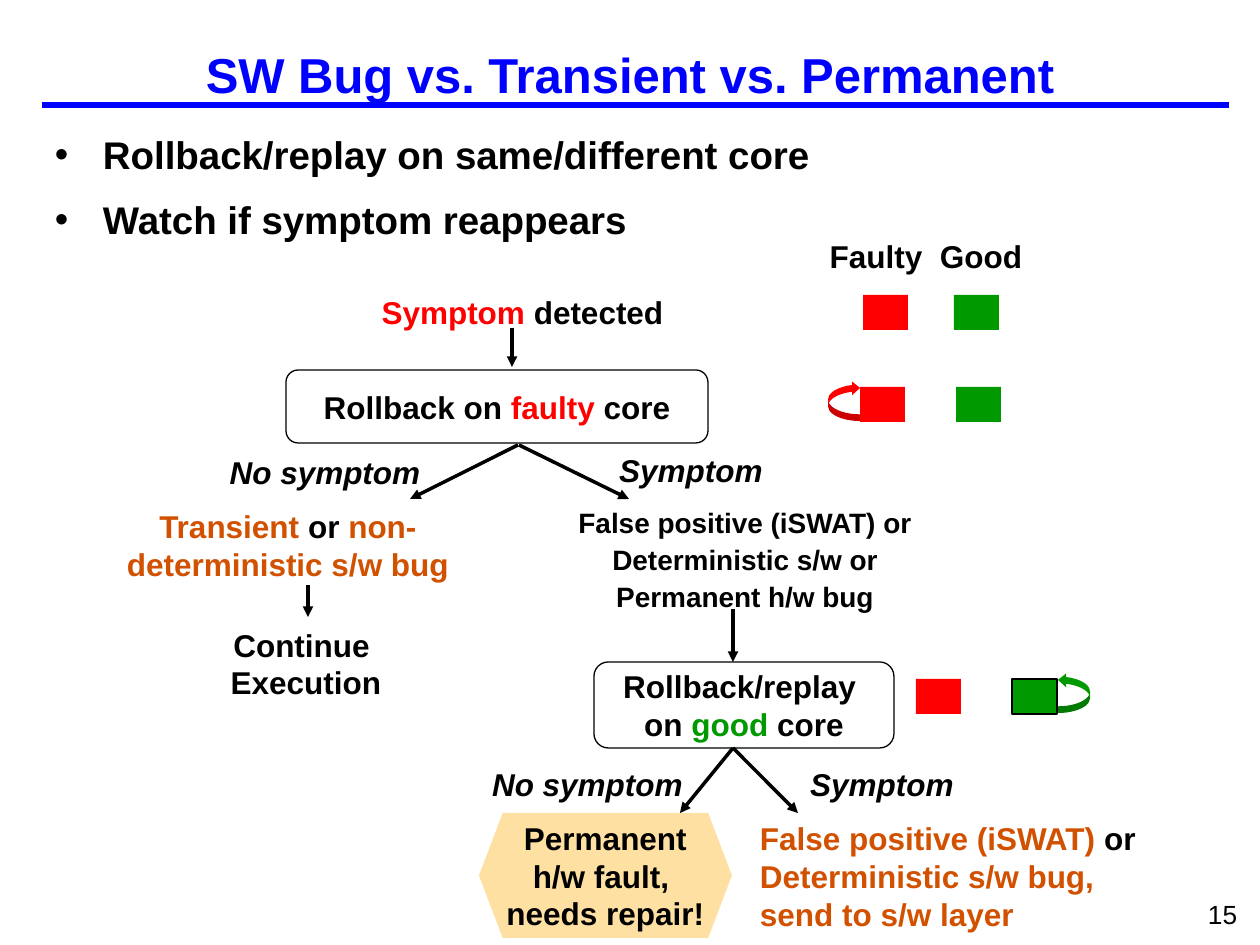
from dataclasses import dataclass
from typing import NamedTuple, Optional

from lxml.etree import SubElement
from pptx import Presentation
from pptx.dml.color import RGBColor
from pptx.enum.shapes import MSO_CONNECTOR as Connector, MSO_SHAPE as Shape
from pptx.enum.text import MSO_ANCHOR as Anchor, PP_ALIGN as Align
from pptx.oxml.ns import qn
from pptx.util import Emu, Pt

SCALE = 914400 / 126
FONT = "Arial"
COLORS = {
    "black": "000000",
    "blue": "0000FF",
    "red": "FF0000",
    "green": "009900",
    "orange": "D15100",
    "sand": "FFCC66",
}


class Run(NamedTuple):
    text: str
    color: str = "black"


@dataclass
class Box:
    x: int
    y: int
    w: int
    h: int
    paras: tuple = ()
    shape: Optional[Shape] = None
    fill: Optional[str] = None
    alpha: int = 100
    line: Optional[str] = None
    adjust: tuple = ()
    rotation: int = 0
    size: int = 18
    bold: bool = True
    italic: bool = False
    align: Align = Align.CENTER
    anchor: Anchor = Anchor.TOP
    inset: tuple = (13, 6)
    wrap: bool = True
    spacing: Optional[float] = None
    gap: float = 0
    bullet: bool = False


class Line(NamedTuple):
    x1: int
    y1: int
    x2: int
    y2: int
    color: str = "black"
    width: int = 2
    arrow: bool = True


def px(n: int) -> Emu:
    return Emu(round(n * SCALE))


def rgb(name: str) -> RGBColor:
    return RGBColor.from_string(COLORS[name])


def add_bullet(p, indent: int) -> None:
    pPr = p._p.get_or_add_pPr()
    pPr.set("marL", str(px(indent)))
    pPr.set("indent", str(-px(indent)))
    SubElement(pPr, qn("a:buFont"), typeface=FONT)
    SubElement(pPr, qn("a:buChar"), char="•")


def write_text(tf, box: Box) -> None:
    tf.word_wrap = box.wrap
    tf.vertical_anchor = box.anchor
    tf.margin_left = tf.margin_right = px(box.inset[0])
    tf.margin_top = tf.margin_bottom = px(box.inset[1])
    for i, runs in enumerate(box.paras):
        p = tf.add_paragraph() if i else tf.paragraphs[0]
        if box.bullet:
            add_bullet(p, 48)
        p.alignment = box.align
        if box.spacing:
            p.line_spacing = box.spacing
        if i and box.gap:
            p.space_before = Pt(box.gap)
        for run in runs:
            r = p.add_run()
            r.text = run.text
            r.font.name = FONT
            r.font.size = Pt(box.size)
            r.font.bold = box.bold
            r.font.italic = box.italic
            r.font.color.rgb = rgb(run.color)


def add_box(s, box: Box) -> None:
    frame = px(box.x), px(box.y), px(box.w), px(box.h)
    if box.shape is None:
        sp = s.shapes.add_textbox(*frame)
    else:
        sp = s.shapes.add_shape(box.shape, *frame)
        sp.shadow.inherit = False
        sp.rotation = box.rotation
        for i, value in enumerate(box.adjust):
            sp.adjustments[i] = value
        if box.fill:
            sp.fill.solid()
            sp.fill.fore_color.rgb = rgb(box.fill)
            if box.alpha < 100:
                color = sp.element.spPr.find(qn("a:solidFill"))[0]
                SubElement(color, qn("a:alpha"), val=str(box.alpha * 1000))
        else:
            sp.fill.background()
        if box.line:
            sp.line.color.rgb = rgb(box.line)
            sp.line.width = Pt(0.75)
        else:
            sp.line.fill.background()
    if box.paras:
        write_text(sp.text_frame, box)


def add_line(s, line: Line) -> None:
    ends = px(line.x1), px(line.y1), px(line.x2), px(line.y2)
    c = s.shapes.add_connector(Connector.STRAIGHT, *ends)
    c.line.color.rgb = rgb(line.color)
    c.line.width = Pt(line.width)
    spPr = c.element.spPr
    if line.arrow:
        SubElement(spPr.find(qn("a:ln")), qn("a:tailEnd"), type="triangle")
    SubElement(spPr, qn("a:effectLst"))


def core(x: int, y: int, color: str, line: Optional[str] = None) -> Box:
    return Box(x, y, 45, 35, shape=Shape.RECTANGLE, fill=color, line=line)


def loop(x: int, y: int, shape: Shape, color: str) -> Box:
    return Box(x, y, 32, 40, shape=shape, fill=color, rotation=180, adjust=(0.21, 0.43, 0.25))


def answer(x: int, y: int, w: int, text: str) -> Box:
    return Box(x, y, w, 54, ((Run(text),),), italic=True, inset=(16, 8))


def node(x: int, y: int, w: int, h: int, paras: tuple, **style) -> Box:
    style = {"shape": Shape.FLOWCHART_ALTERNATE_PROCESS, **style}
    return Box(x, y, w, h, paras, anchor=Anchor.MIDDLE, wrap=False, **style)


BOXES = [
    Box(1195, 892, 65, 44, ((Run("15"),),), size=15, bold=False, align=Align.LEFT),
    Box(0, 21, 1260, 105, ((Run("SW Bug vs. Transient vs. Permanent", "blue"),),),
        size=28, anchor=Anchor.MIDDLE),
    Box(42, 116, 1187, 220,
        ((Run("Rollback/replay on same/different core"),), (Run("Watch if symptom reappears"),)),
        size=22, align=Align.LEFT, spacing=1.2, gap=5.5, bullet=True),
    answer(190, 445, 270, "No symptom"),
    answer(599, 443, 184, "Symptom"),
    answer(461, 757, 253, "No symptom"),
    answer(782, 757, 200, "Symptom"),
    Box(535, 494, 420, 127,
        ((Run("False positive (iSWAT) or Deterministic s/w or"),), (Run("Permanent h/w bug"),)),
        size=16, inset=(16, 8), spacing=1.1),
    Box(362, 285, 321, 54, ((Run("Symptom", "red"), Run(" detected")),), inset=(16, 8)),
    Box(816, 231, 120, 50, ((Run("Faulty"),),), wrap=False),
    Box(921, 231, 120, 50, ((Run("Good"),),), wrap=False),
    core(863, 295, "red"),
    core(954, 295, "green"),
    core(860, 387, "red"),
    core(956, 387, "green"),
    core(916, 679, "red"),
    core(1012, 679, "green", "black"),
    loop(828, 381, Shape.CURVED_LEFT_ARROW, "red"),
    loop(1058, 673, Shape.CURVED_RIGHT_ARROW, "green"),
    node(286, 370, 422, 73, ((Run("Rollback on "), Run("faulty", "red"), Run(" core")),),
         line="black"),
    node(594, 662, 300, 86,
         ((Run("Rollback/replay "),), (Run("on "), Run("good", "green"), Run(" core"))),
         line="black"),
    node(219, 632, 174, 63, ((Run("Continue "),), (Run("Execution"),))),
    node(136, 510, 304, 70,
         ((Run("Transient", "orange"), Run(" or "), Run("non-", "orange")),
          (Run("deterministic s/w bug", "orange"),)),
         shape=Shape.HEXAGON, adjust=(0.41,)),
    node(479, 813, 253, 125,
         ((Run("Permanent"),), (Run("h/w fault, "),), (Run("needs repair!"),)),
         shape=Shape.HEXAGON, adjust=(0.19,), fill="sand", alpha=60),
    Box(747, 813, 430, 126,
        ((Run("False positive (iSWAT) ", "orange"), Run("or")),
         (Run("Deterministic s/w bug, send to s/w layer", "orange"),)),
        align=Align.LEFT),
]

LINES = [
    Line(42, 105, 1229, 105, "blue", 3, False),
    Line(512, 328, 512, 367),
    Line(518, 445, 410, 499),
    Line(519, 445, 629, 499),
    Line(308, 585, 308, 617),
    Line(733, 609, 733, 662),
    Line(733, 748, 680, 813),
    Line(733, 748, 798, 813),
]


def main() -> None:
    prs = Presentation()
    prs.slide_width, prs.slide_height = px(1260), px(945)
    s = prs.slides.add_slide(prs.slide_layouts[6])
    for box in BOXES:
        add_box(s, box)
    for line in LINES:
        add_line(s, line)
    prs.save("out.pptx")


if __name__ == "__main__":
    main()
